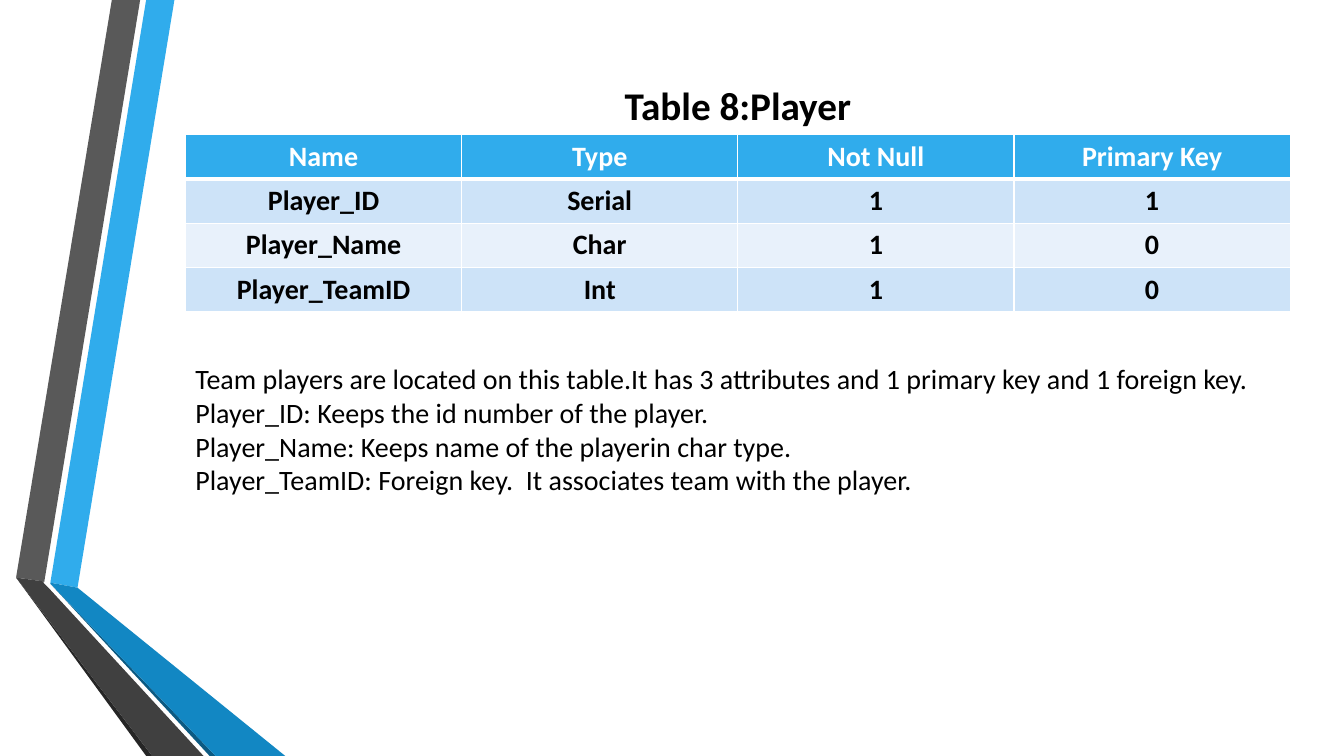
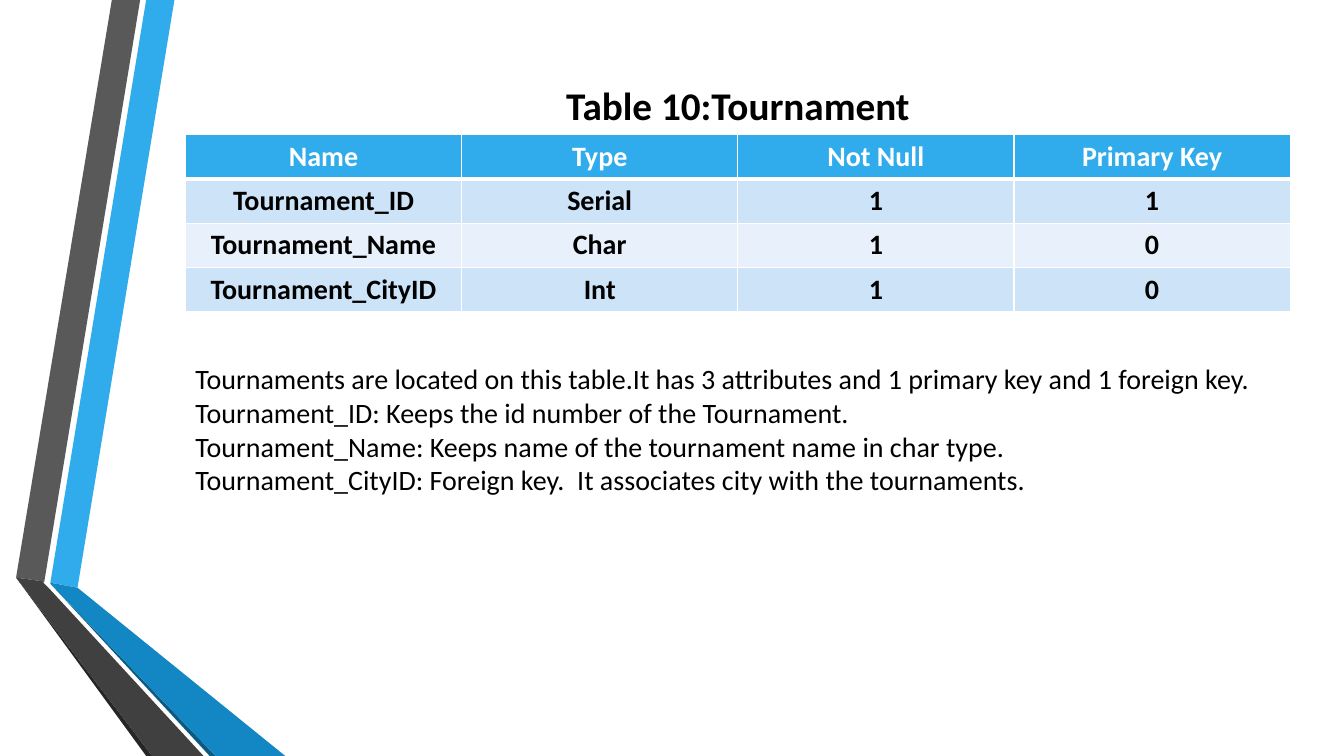
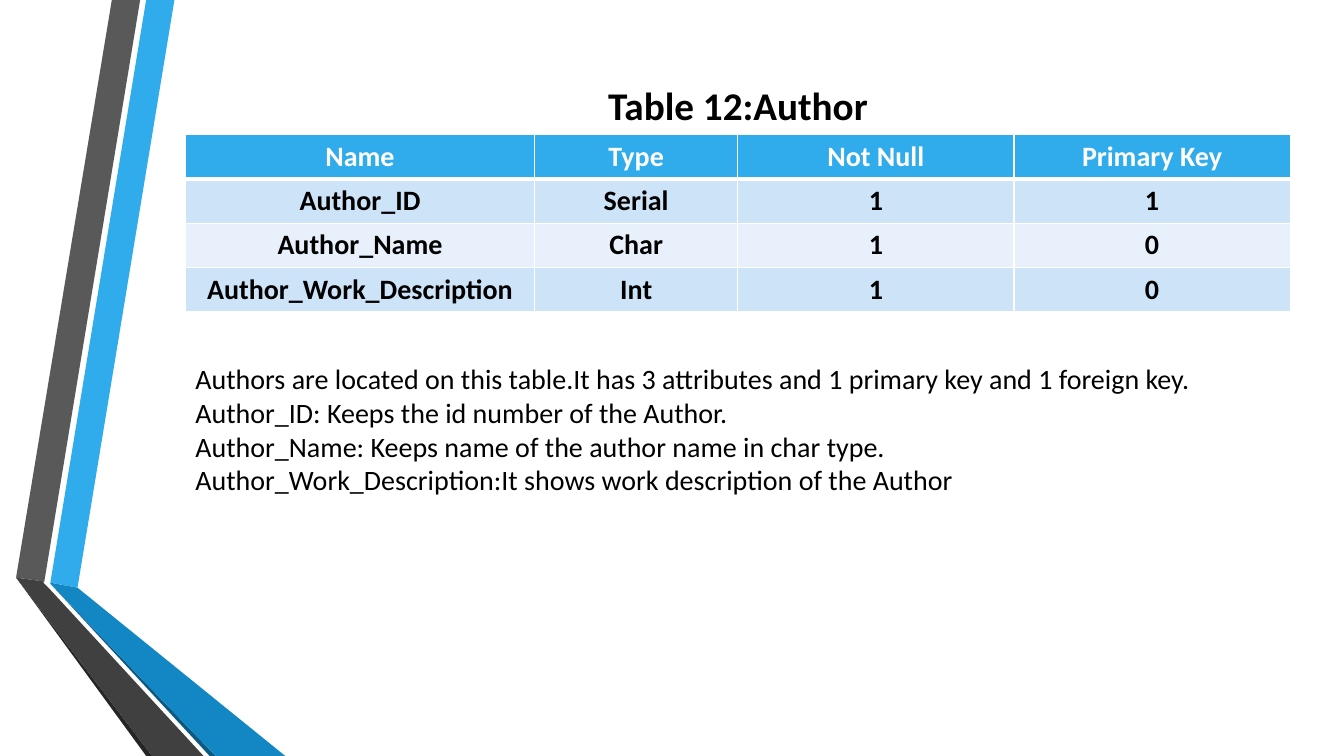
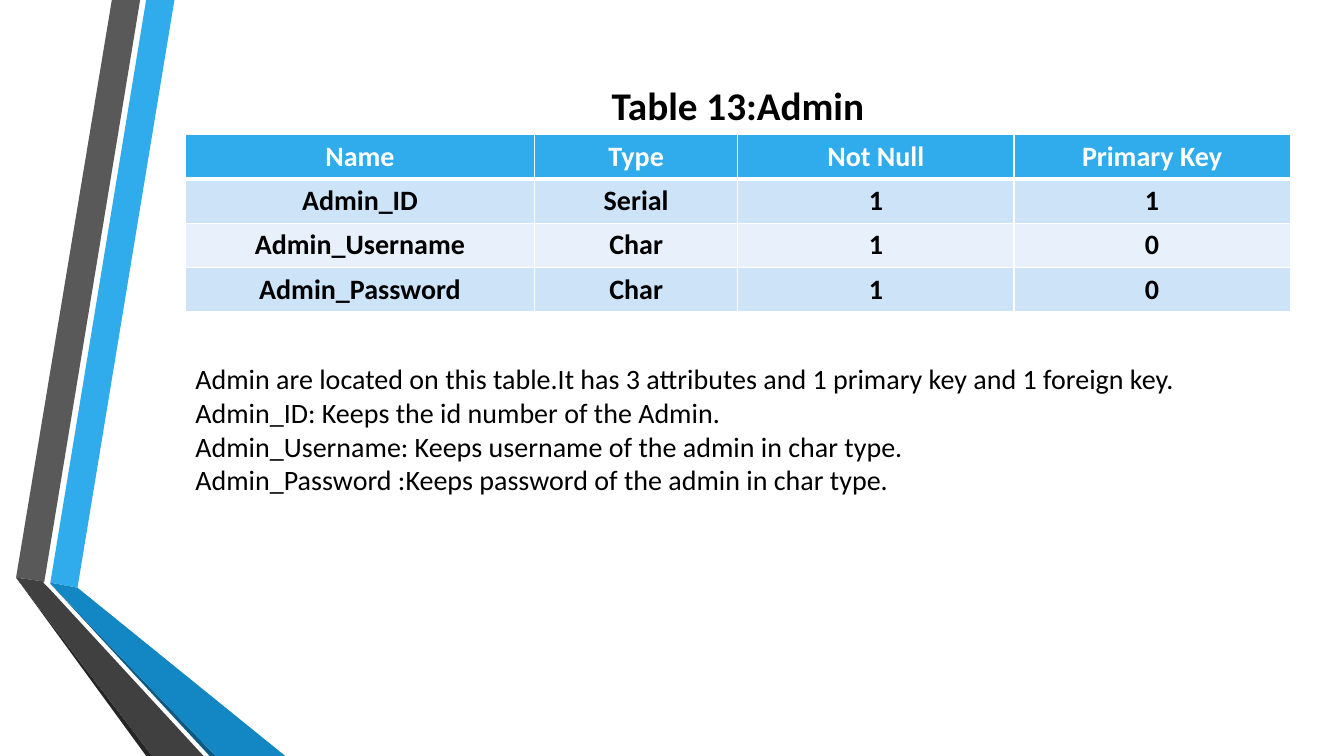
import pptx
import pptx.util
import pptx.dml.color
import pptx.enum.text
import pptx.oxml
import pptx.oxml.ns

Pt = pptx.util.Pt
RGBColor = pptx.dml.color.RGBColor
PP_ALIGN = pptx.enum.text.PP_ALIGN
MSO_ANCHOR = pptx.enum.text.MSO_ANCHOR

WHITE = RGBColor(0xFF, 0xFF, 0xFF)
BLACK = RGBColor(0x00, 0x00, 0x00)
BLUE = RGBColor(0x30, 0xAC, 0xEC)
MID_BLUE = RGBColor(0x12, 0x87, 0xC3)
DEEP_BLUE = RGBColor(0x0C, 0x5A, 0x82)
GREY = RGBColor(0x59, 0x59, 0x59)
DARK_GREY = RGBColor(0x40, 0x40, 0x40)
NEAR_BLACK = RGBColor(0x26, 0x26, 0x26)
ROW_ODD = RGBColor(0xCD, 0xE3, 0xF8)
ROW_EVEN = RGBColor(0xE8, 0xF1, 0xFB)

FONT = "Calibri"
SLIDE_W, SLIDE_H = 960, 540
LEFT, WIDTH = 132.5, 789.1
TITLE_TOP, TITLE_H = 54.7, 41.2
TABLE_TOP, ROW_H = 96, 31.2
NOTES_TOP, NOTES_H = 254.9, 128
HEADER = ("Name", "Type", "Not Null", "Primary Key")

BANDS = [
    (BLUE, [(36, 416.2), (55.4, 419.8), (124.6, 0), (104.4, 0)]),
    (GREY, [(100.1, 0), (79.9, 0), (11.5, 412.6), (31.7, 415.4)]),
    (NEAR_BLACK, [(11.5, 412.6), (104.4, SLIDE_H), (108.7, SLIDE_H)]),
    (DEEP_BLUE, [(36, 416.9), (149.8, SLIDE_H), (154.1, SLIDE_H)]),
    (MID_BLUE, [(36, 416.9), (154.1, SLIDE_H), (203.8, SLIDE_H),
                (55.4, 419.8), (36, 416.2)]),
    (DARK_GREY, [(145.4, SLIDE_H), (34.6, 419.8), (31, 416.2), (31.7, 415.4),
                 (11.5, 412.6), (108.7, SLIDE_H)]),
]

SLIDES = [
    dict(title="Table 8:Player", title_w=188, name_w=WIDTH / 4,
         rows=[("Player_ID", "Serial", "1", "1"),
               ("Player_Name", "Char", "1", "0"),
               ("Player_TeamID", "Int", "1", "0")],
         notes=["Team players are located on this table.It has 3 attributes and 1 primary key and 1 foreign key.",
                "Player_ID: Keeps the id number of the player.",
                "Player_Name: Keeps name of the playerin char type.",
                "Player_TeamID: Foreign key.  It associates team with the player."]),
    dict(title="Table 10:Tournament", title_w=272, name_w=WIDTH / 4,
         rows=[("Tournament_ID", "Serial", "1", "1"),
               ("Tournament_Name", "Char", "1", "0"),
               ("Tournament_CityID", "Int", "1", "0")],
         notes=["Tournaments are located on this table.It has 3 attributes and 1 primary key and 1 foreign key.",
                "Tournament_ID: Keeps the id number of the Tournament.",
                "Tournament_Name: Keeps name of the tournament name in char type.",
                "Tournament_CityID: Foreign key.  It associates city with the tournaments."]),
    dict(title="Table 12:Author", title_w=209, name_w=249.4,
         rows=[("Author_ID", "Serial", "1", "1"),
               ("Author_Name", "Char", "1", "0"),
               ("Author_Work_Description", "Int", "1", "0")],
         notes=["Authors are located on this table.It has 3 attributes and 1 primary key and 1 foreign key.",
                "Author_ID: Keeps the id number of the Author.",
                "Author_Name: Keeps name of the author name in char type.",
                "Author_Work_Description:It shows work description of the Author"]),
    dict(title="Table 13:Admin", title_w=203, name_w=249.4,
         rows=[("Admin_ID", "Serial", "1", "1"),
               ("Admin_Username", "Char", "1", "0"),
               ("Admin_Password", "Char", "1", "0")],
         notes=["Admin are located on this table.It has 3 attributes and 1 primary key and 1 foreign key.",
                "Admin_ID: Keeps the id number of the Admin.",
                "Admin_Username: Keeps username of the admin in char type.",
                "Admin_Password :Keeps password of the admin in char type."]),
]


def write(p, text, size=20, color=BLACK, bold=False, align=PP_ALIGN.LEFT):
    p.alignment = align
    r = p.add_run()
    r.text = text
    r.font.name = FONT
    r.font.size = Pt(size)
    r.font.bold = bold
    r.font.color.rgb = color


def move_bands_to_layout(s, layout):
    for ph in list(layout.placeholders):
        if ph.placeholder_format.idx != 0:
            layout.shapes.element.remove(ph.element)
    for color, points in BANDS:
        corners = [(Pt(x), Pt(y)) for x, y in points]
        fb = s.shapes.build_freeform(*corners[0])
        fb.add_line_segments(corners[1:], close=True)
        sp = fb.convert_to_shape()
        sp.fill.solid()
        sp.fill.fore_color.rgb = color
        sp.line.fill.background()
        sp.shadow.inherit = False
        layout.shapes.element.append(sp.element)


def add_title(s, text, x, y, w, h):
    title = s.shapes.title
    title.left, title.top, title.width, title.height = Pt(x), Pt(y), Pt(w), Pt(h)
    tf = title.text_frame
    tf.word_wrap = False
    tf.auto_size = pptx.enum.text.MSO_AUTO_SIZE.NONE
    tf.vertical_anchor = MSO_ANCHOR.TOP
    write(tf.paragraphs[0], text, size=28, bold=True, align=PP_ALIGN.CENTER)


def set_borders(cell, top, bottom):
    tcPr = cell._tc.get_or_add_tcPr()
    for tag, width in (("lnL", 1), ("lnR", 1), ("lnT", top), ("lnB", bottom)):
        tcPr.append(pptx.oxml.parse_xml(
            f'<a:{tag} {pptx.oxml.ns.nsdecls("a")} w="{Pt(width)}"><a:solidFill>'
            f'<a:srgbClr val="{WHITE}"/></a:solidFill></a:{tag}>'))


def add_attribute_table(s, rows, name_w, x, y, w):
    rows = [HEADER] + rows
    gf = s.shapes.add_table(len(rows), len(HEADER), Pt(x), Pt(y), Pt(w), Pt(ROW_H * len(rows)))
    table = gf.table
    for col, width in zip(table.columns, (name_w, w / 2 - name_w, w / 4, w / 4)):
        col.width = Pt(width)
    for i, values in enumerate(rows):
        fill = BLUE if i == 0 else ROW_ODD if i % 2 else ROW_EVEN
        for j, value in enumerate(values):
            cell = table.cell(i, j)
            set_borders(cell, top=3 if i == 1 else 1, bottom=3 if i == 0 else 1)
            cell.fill.solid()
            cell.fill.fore_color.rgb = fill
            write(cell.text_frame.paragraphs[0], value, bold=True,
                  color=BLACK if i else WHITE, align=PP_ALIGN.CENTER)


def add_description(s, lines, x, y, w, h):
    tf = s.shapes.add_textbox(Pt(x), Pt(y), Pt(w), Pt(h)).text_frame
    tf.word_wrap = True
    for i, line in enumerate(lines):
        write(tf.add_paragraph() if i else tf.paragraphs[0], line)


def main():
    prs = pptx.Presentation()
    prs.slide_width, prs.slide_height = Pt(SLIDE_W), Pt(SLIDE_H)
    layout = prs.slide_layouts[5]
    for i, data in enumerate(SLIDES):
        s = prs.slides.add_slide(layout)
        if i == 0:
            move_bands_to_layout(s, layout)
        title_x = LEFT + (WIDTH - data["title_w"]) / 2
        add_title(s, data["title"], title_x, TITLE_TOP, data["title_w"], TITLE_H)
        add_attribute_table(s, data["rows"], data["name_w"], LEFT, TABLE_TOP, WIDTH)
        add_description(s, data["notes"], LEFT, NOTES_TOP, WIDTH, NOTES_H)
    prs.save("out.pptx")


if __name__ == "__main__":
    main()
